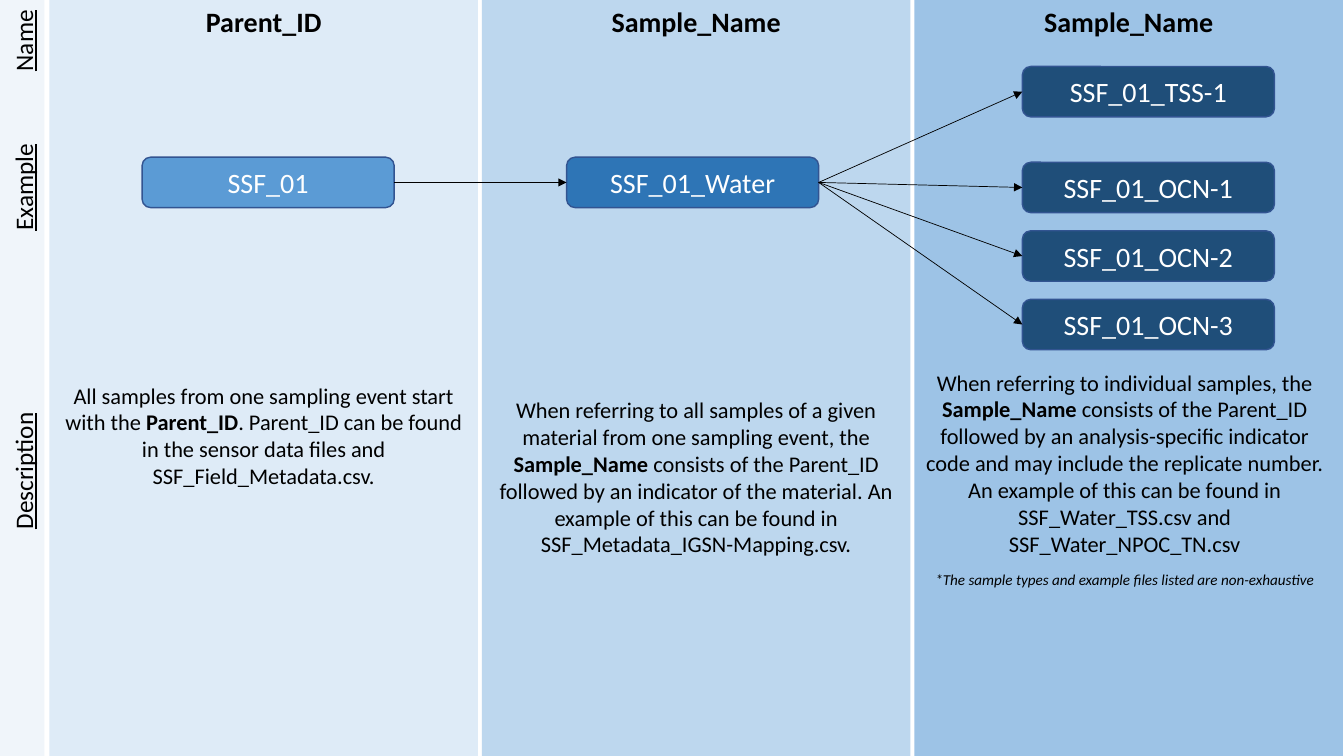
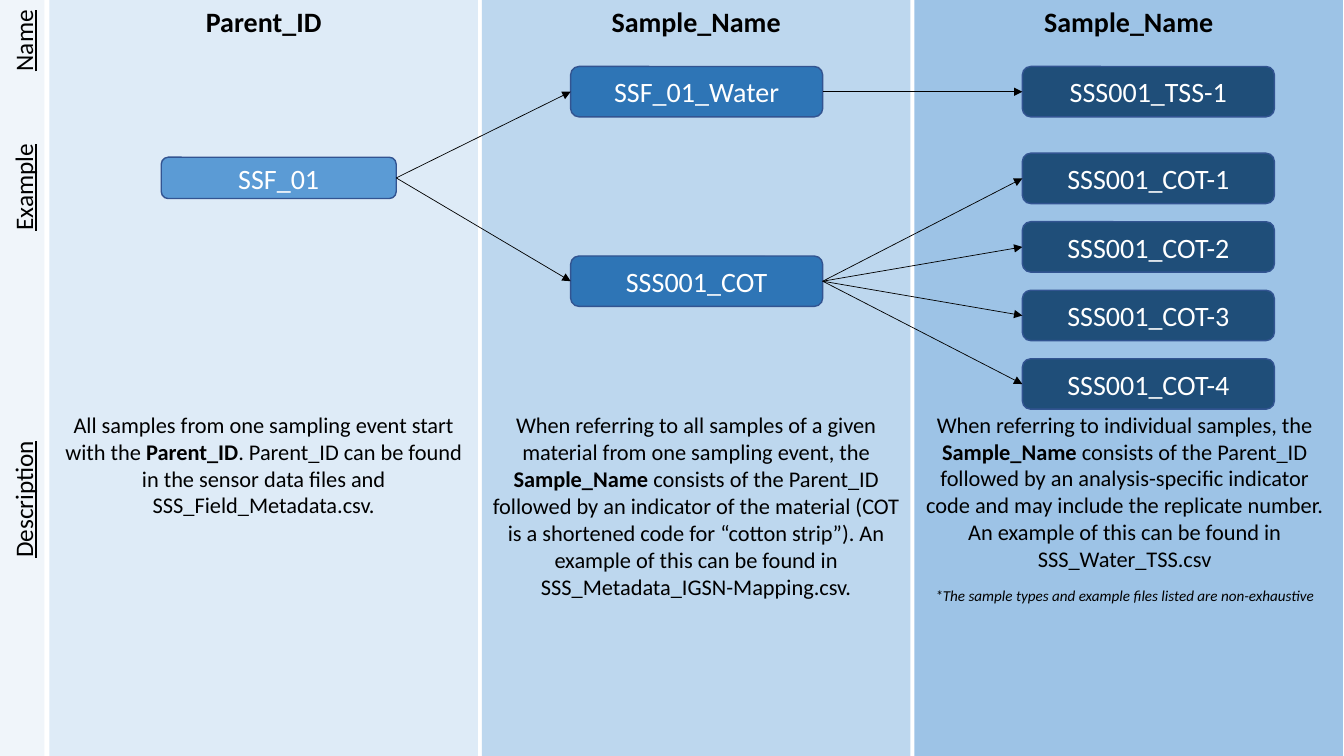
import pptx
import pptx.util
import pptx.dml.color
import pptx.enum.shapes
import pptx.enum.text
import pptx.oxml
import pptx.oxml.ns
from dataclasses import dataclass

In, Pt = pptx.util.Inches, pptx.util.Pt
RGB = pptx.dml.color.RGBColor.from_string
MSO = pptx.enum.shapes.MSO_SHAPE
ANCHOR = pptx.enum.text.MSO_ANCHOR
ALIGN = pptx.enum.text.PP_ALIGN


@dataclass
class Theme:
    font: str = "Calibri"
    ink: str = "000000"
    white: str = "FFFFFF"
    rail: str = "F0F5FA"
    bands: tuple = ("DEEBF7", "BDD7EE", "9DC3E6")
    nodes: tuple = ("5B9BD5", "2E75B6", "1F4E79")
    outline: str = "325491"
    head: float = 20
    label: float = 18
    body: float = 16
    note: float = 10.8


T = Theme()

# Grid, in inches
W, H = 13.33, 7.5
RAIL_W = 0.44
COL_X, COL_W, COL_PITCH = 0.49, 4.25, 4.29
TEXT_X = (0.49, 4.78, 9.03)
NODE_W, NODE_H, NODE_PITCH = 2.5, 0.5, 0.68
TOP_ROW, PARENT_ROW, LEAF_X = 0.66, 1.56, 10.14
LABEL_X, LABEL_H = 0.23, 0.4

# Wording shared by the slides
HEADS = ("Parent_ID", "Sample_Name", "Sample_Name")
OPENINGS = (
    "All samples from one sampling event start with the ",
    "When referring to all samples of a given material from one sampling event, the ",
    "When referring to individual samples, the ",
)
CLOSINGS = (
    ". Parent_ID can be found in the sensor data files and {}.",
    " consists of the Parent_ID followed by an indicator of the material{}.",
    " consists of the Parent_ID followed by an analysis-specific indicator code and may "
    "include the replicate number. An example of this can be found in {}",
)
NOTE = "*The sample types and example files listed are non-exhaustive"

# Per slide: nodes are (column, text, left, top, width, height), links are node pairs,
# details fill the closings, spans are (top, height) of the descriptions
SLIDES = [
    dict(
        nodes=[(0, "SSF_01", 1.41, PARENT_ROW, NODE_W, NODE_H),
               (1, "SSF_01_Water", 5.62, PARENT_ROW, NODE_W, NODE_H),
               (2, "SSF_01_TSS-1", LEAF_X, TOP_ROW, NODE_W, NODE_H)]
        + [(2, f"SSF_01_OCN-{i + 1}", LEAF_X, 1.61 + i * NODE_PITCH, NODE_W, NODE_H)
           for i in range(3)],
        links=[(0, 1)] + [(1, leaf) for leaf in range(2, 6)],
        details=("SSF_Field_Metadata.csv",
                 ". An example of this can be found in SSF_Metadata_IGSN-Mapping.csv",
                 "SSF_Water_TSS.csv and SSF_Water_NPOC_TN.csv"),
        spans=((3.73, 1.18), (3.87, 1.72), (3.6, 2.3)),
        description_y=4.46,
    ),
    dict(
        nodes=[(0, "SSF_01", 1.6, PARENT_ROW, 2.33, 0.41),
               (1, "SSF_01_Water", 5.66, TOP_ROW, NODE_W, NODE_H),
               (1, "SSS001_COT", 5.66, 2.54, NODE_W, NODE_H),
               (2, "SSS001_TSS-1", LEAF_X, TOP_ROW, NODE_W, NODE_H)]
        + [(2, f"SSS001_COT-{i + 1}", LEAF_X, 1.52 + i * NODE_PITCH, NODE_W, NODE_H)
           for i in range(4)],
        links=[(0, 1), (0, 2), (1, 3)] + [(2, leaf) for leaf in range(4, 8)],
        details=("SSS_Field_Metadata.csv",
                 " (COT is a shortened code for “cotton strip”). An example of this "
                 "can be found in SSS_Metadata_IGSN-Mapping.csv",
                 "SSS_Water_TSS.csv"),
        spans=((4.02, 1.18), (4.02, 1.99), (4.02, 2.03)),
        description_y=4.74,
    ),
]


def add_run(p, text, size, color=T.ink, bold=False, italic=False, underline=False):
    r = p.add_run()
    r.text = text
    f = r.font
    f.name, f.size, f.color.rgb = T.font, Pt(size), RGB(color)
    f.bold, f.italic, f.underline = bold, italic, underline


def add_box(s, kind, x, y, w, h, fill, line=None):
    sp = s.shapes.add_shape(kind, In(x), In(y), In(w), In(h))
    sp.shadow.inherit = False
    sp.fill.solid()
    sp.fill.fore_color.rgb = RGB(fill)
    if line:
        sp.line.color.rgb = RGB(line)
        sp.line.width = Pt(1)
    else:
        sp.line.fill.background()
    sp.text_frame.paragraphs[0].alignment = ALIGN.CENTER
    return sp


prs = pptx.Presentation()
prs.slide_width, prs.slide_height = In(W), In(H)

for content in SLIDES:
    s = prs.slides.add_slide(prs.slide_layouts[6])

    # Rail and column bands with headings
    add_box(s, MSO.RECTANGLE, 0, 0, RAIL_W, H, T.rail)
    for i, (head, fill) in enumerate(zip(HEADS, T.bands)):
        sp = add_box(s, MSO.RECTANGLE, COL_X + i * COL_PITCH, 0, COL_W, H, fill)
        sp.text_frame.vertical_anchor = ANCHOR.TOP
        add_run(sp.text_frame.paragraphs[0], head, T.head, bold=True)

    # Rotated row labels
    for text, y, w in (("Name", 0.2, 0.81), ("Example", 1.65, 1.07),
                       ("Description", content["description_y"], 1.38)):
        sp = s.shapes.add_textbox(In(LABEL_X - w / 2), In(y), In(w), In(LABEL_H))
        sp.rotation = 270
        sp.text_frame.word_wrap = False
        sp.text_frame.auto_size = pptx.enum.text.MSO_AUTO_SIZE.SHAPE_TO_FIT_TEXT
        add_run(sp.text_frame.paragraphs[0], text, T.label, underline=True)

    # Example nodes
    nodes = []
    for col, text, x, y, w, h in content["nodes"]:
        sp = add_box(s, MSO.ROUNDED_RECTANGLE, x, y, w, h, T.nodes[col], T.outline)
        sp.text_frame.vertical_anchor = ANCHOR.MIDDLE
        add_run(sp.text_frame.paragraphs[0], text, T.head, T.white)
        nodes.append(sp)

    # Arrows from the right side of one node to the left side of the next
    for start, end in content["links"]:
        c = s.shapes.add_connector(pptx.enum.shapes.MSO_CONNECTOR.STRAIGHT, 0, 0, 0, 0)
        c.begin_connect(nodes[start], 3)
        c.end_connect(nodes[end], 1)
        c.line.color.rgb = RGB(T.ink)
        c.line.width = Pt(0.5)
        spPr = c.element.spPr
        ln = spPr.find(pptx.oxml.ns.qn("a:ln"))
        ns = pptx.oxml.ns.nsdecls("a")
        ln.append(pptx.oxml.parse_xml(f'<a:tailEnd {ns} type="triangle"/>'))
        spPr.append(pptx.oxml.parse_xml(f"<a:effectLst {ns}/>"))

    # Descriptions
    for i, (y, h) in enumerate(content["spans"]):
        sp = s.shapes.add_textbox(In(TEXT_X[i]), In(y), In(COL_W), In(h))
        tf = sp.text_frame
        tf.word_wrap = True
        tf.vertical_anchor = ANCHOR.MIDDLE
        p = tf.paragraphs[0]
        p.alignment = ALIGN.CENTER
        add_run(p, OPENINGS[i], T.body)
        add_run(p, HEADS[i], T.body, bold=True)
        add_run(p, CLOSINGS[i].format(content["details"][i]), T.body)

    # Note under the last description
    p = tf.add_paragraph()
    p.alignment = ALIGN.CENTER
    p.space_before = Pt(10)
    add_run(p, NOTE, T.note, italic=True)

prs.save("out.pptx")
